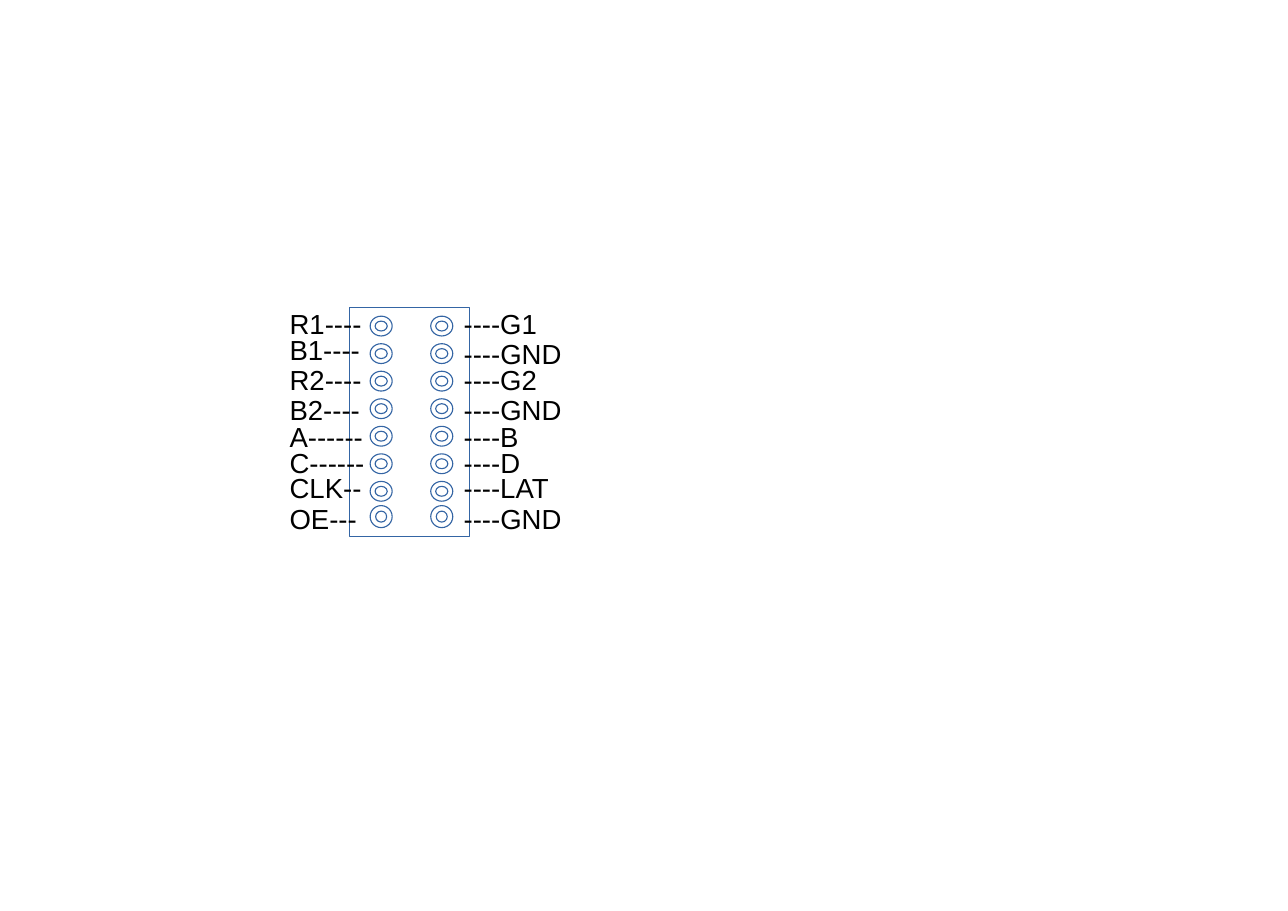
"""Pin layout of a 16-pin LED panel connector."""
from pptx import Presentation
from pptx import util as u
from pptx.dml.color import RGBColor
from pptx.enum import shapes, text

THEME = {
    "fill": RGBColor.from_string("FFFFFF"),
    "line": RGBColor.from_string("3465A4"),
    "text": RGBColor.from_string("000000"),
    "font": "Arial",
    "size": u.Pt(18),
}
LABEL_FORMAT = {
    "margin_left": u.Inches(0.1),
    "margin_right": u.Inches(0.08),
    "margin_top": u.Inches(0.05),
    "margin_bottom": u.Inches(0.05),
    "word_wrap": False,
    "auto_size": text.MSO_AUTO_SIZE.NONE,
}
FONT_FORMAT = {"name": THEME["font"], "size": THEME["size"]}

PIN_COLUMNS = (3.36, 3.91)
PIN_TOP, PIN_PITCH, PIN_WIDTH, PIN_HEIGHT = 2.87, 0.25, 0.2, 0.18
LAST_PIN_TOP = 4.59
LABEL_COLUMNS = (2.53, 4.11)
LABEL_HEIGHT = 0.38

PIN_ROWS = [
    (2.74, ("R1----", 0.85), ("----G1", 0.87)),
    (3.01, ("B1----", 0.84), ("----GND", 1.09)),
    (3.25, ("R2----", 0.85), ("----G2", 0.87)),
    (3.52, ("B2----", 0.84), ("----GND", 1.09)),
    (3.76, ("A------", 0.87), ("----B", 0.7)),
    (4.0, ("C------", 0.88), ("----D", 0.72)),
    (4.23, ("CLK--", 0.85), ("----LAT", 0.97)),
    (4.51, ("OE---", 0.81), ("----GND", 1.09)),
]
LABEL_TOP_EXCEPTIONS = {"B1----": 2.97}


def add_outline(container, kind, *box):
    shape = container.add_shape(kind, *map(u.Inches, box))
    shape.shadow.inherit = False
    shape.fill.solid()
    shape.fill.fore_color.rgb = THEME["fill"]
    shape.line.color.rgb = THEME["line"]
    shape.line.width = u.Pt(0)
    return shape


def add_label(slide, label, *box):
    frame = slide.shapes.add_textbox(*map(u.Inches, box)).text_frame
    for name, value in LABEL_FORMAT.items():
        setattr(frame, name, value)
    paragraph = frame.paragraphs[0]
    paragraph.alignment = text.PP_ALIGN.LEFT
    run = paragraph.add_run()
    run.text = label
    for name, value in FONT_FORMAT.items():
        setattr(run.font, name, value)
    run.font.color.rgb = THEME["text"]


presentation = Presentation()
presentation.slide_width = u.Inches(11.69)
presentation.slide_height = u.Inches(8.27)
slide = presentation.slides.add_slide(presentation.slide_layouts[6])

add_outline(slide.shapes, shapes.MSO_SHAPE.RECTANGLE, 3.17, 2.79, 1.09, 2.08)

pin_group = slide.shapes.add_group_shape()
for left in PIN_COLUMNS:
    for row in range(len(PIN_ROWS) - 1):
        add_outline(pin_group.shapes, shapes.MSO_SHAPE.DONUT,
                    left, PIN_TOP + row * PIN_PITCH, PIN_WIDTH, PIN_HEIGHT)
    add_outline(slide.shapes, shapes.MSO_SHAPE.DONUT,
                left, LAST_PIN_TOP, PIN_WIDTH, PIN_WIDTH)

for row_top, *labels in PIN_ROWS:
    for left, (label, width) in zip(LABEL_COLUMNS, labels):
        top = LABEL_TOP_EXCEPTIONS.get(label, row_top)
        add_label(slide, label, left, top, width, LABEL_HEIGHT)

presentation.save("out.pptx")
